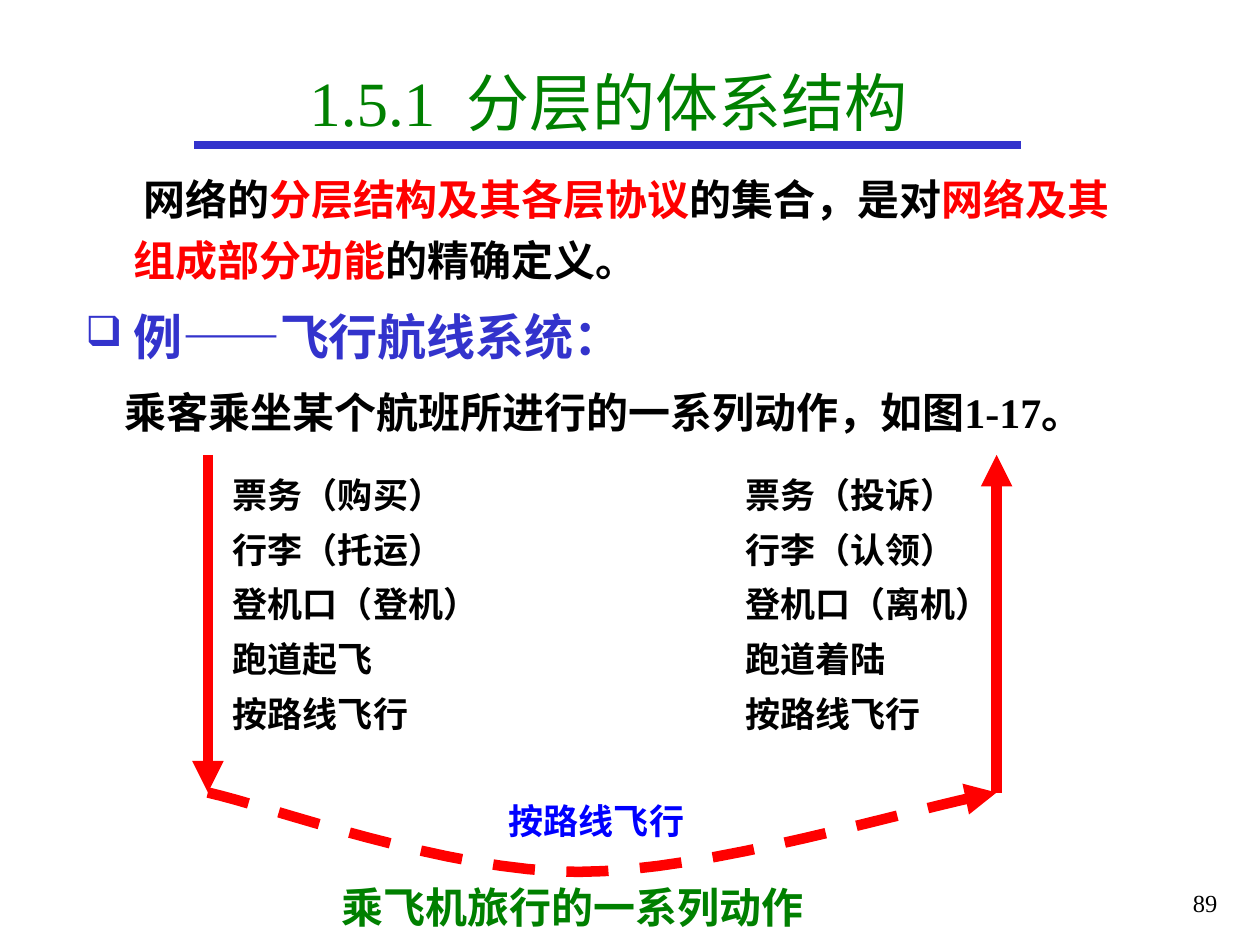
from pptx import Presentation, util as u
from pptx.dml.color import RGBColor
from pptx.enum import dml, shapes, text
from pptx.oxml.ns import qn
from lxml import etree

Inches, Pt = u.Inches, u.Pt
theme = {
    "black": "000000", "red": "FF0000", "green": "008000",
    "indigo": "3333CC", "blue": "0000FF",
    "latin": "Times New Roman", "asian": "Noto Sans CJK SC",
    "title": 36, "head": 28, "body": 24, "list": 20, "num": 14,
    "rule": 4.5, "arrow": 6,
}


def write(para, runs, size, bold=True, **form):
    """Fill a paragraph with (words, colour) runs and set its format."""
    for words, hue in runs:
        run = para.add_run()
        run.text = words
        for key, val in {"size": Pt(theme[size]), "bold": bold,
                         "name": theme["latin"]}.items():
            setattr(run.font, key, val)
        run.font.color.rgb = RGBColor.from_string(theme[hue])
        latin = run.font._element.find(qn("a:latin"))
        asian = etree.Element(qn("a:ea"), typeface=theme["asian"])
        latin.addnext(asian)
    for key, val in form.items():
        setattr(para, key, val)


def stroke(shape, hue, width, head=True, dash=None):
    """Style a line, with an arrowhead at its end if wanted."""
    shape.line.color.rgb = RGBColor.from_string(theme[hue])
    shape.line.width = Pt(theme[width])
    if dash:
        shape.line.dash_style = dash
    if head:
        line = shape.line._get_or_add_ln()
        etree.SubElement(line, qn("a:tailEnd"), type="triangle")
    props = shape._element.spPr
    if props.find(qn("a:effectLst")) is None:
        etree.SubElement(props, qn("a:effectLst"))


deck = Presentation()
deck.slide_width, deck.slide_height = Inches(10), Inches(7.5)
slide = deck.slides.add_slide(deck.slide_layouts[5])
parts = slide.shapes

# Title and the rule under it
title = parts.title
for key, val in {"left": 0.58, "top": 0.25, "width": 8.5, "height": 1.11}.items():
    setattr(title, key, Inches(val))
title.text_frame.vertical_anchor = text.MSO_ANCHOR.MIDDLE
write(title.text_frame.paragraphs[0], [("1.5.1  分层的体系结构", "green")],
      "title", bold=False, alignment=text.PP_ALIGN.CENTER)
rule = parts.add_connector(shapes.MSO_CONNECTOR.STRAIGHT,
                           Inches(1.54), Inches(1.15), Inches(8.1), Inches(1.15))
stroke(rule, "indigo", "rule", head=False)

# Body: margin, first-line indent, bullet, size, runs
body = [
    (0.38, 0.08, None, "body", [
        ("网络的", "black"), ("分层结构及其各层协议", "red"),
        ("的集合，是对", "black"), ("网络及其组成部分功能", "red"),
        ("的精确定义。", "black")]),
    (0.38, -0.38, "❑", "head", [("例——飞行航线系统：", "indigo")]),
    (0.31, 0, None, "body",
     [("乘客乘坐某个航班所进行的一系列动作，如图1-17。", "black")]),
]
frame = parts.add_textbox(Inches(0.58), Inches(1.25),
                          Inches(8.5), Inches(2.29)).text_frame
frame.word_wrap = True
for i, (left, first, mark, size, runs) in enumerate(body):
    para = frame.add_paragraph() if i else frame.paragraphs[0]
    props = para._p.get_or_add_pPr()
    props.set("marL", str(Inches(left)))
    props.set("indent", str(Inches(first)))
    if mark:
        tint = etree.SubElement(props, qn("a:buClr"))
        etree.SubElement(tint, qn("a:srgbClr"), val=theme["indigo"])
        etree.SubElement(props, qn("a:buSzPct"), val="85000")
        etree.SubElement(props, qn("a:buChar"), char=mark)
    write(para, runs, size, line_spacing=1.2, space_before=Pt(6 if i else 0))

# Departure and arrival steps, and the label of the flight
steps = [
    (1.75, 3.61, 2.57, 2.38, "black",
     ["票务（购买）", "行李（托运）", "登机口（登机）", "跑道起飞", "按路线飞行"]),
    (5.82, 3.61, 2.6, 2.38, "black",
     ["票务（投诉）", "行李（认领）", "登机口（离机）", "跑道着陆", "按路线飞行"]),
    (3.94, 6.2, 1.69, 0.5, "blue", ["按路线飞行"]),
]
for *place, hue, rows in steps:
    frame = parts.add_textbox(*map(Inches, place)).text_frame
    frame.word_wrap = True
    for i, row in enumerate(rows):
        para = frame.add_paragraph() if i else frame.paragraphs[0]
        write(para, [(row, hue)], "list", line_spacing=1.3)

# Arrows down and up
west, east, high, low = 1.65, 7.91, 3.61, 6.29
for x, start, end in [(west, high, low), (east, low, high)]:
    arrow = parts.add_connector(shapes.MSO_CONNECTOR.STRAIGHT, Inches(x),
                                Inches(start), Inches(x), Inches(end))
    stroke(arrow, "red", "arrow")

# Dashed flight path: points along two cubic curves
curves = [
    [(west, low), (2.14, 6.4), (3.55, 6.92), (4.59, 6.92)],
    [(4.59, 6.92), (5.63, 6.92), (7.22, 6.42), (east, low)],
]
count = 16
points = []
for curve in curves:
    for n in range(1, count + 1):
        t = n / count
        parts_of = [(1 - t) ** 3, 3 * t * (1 - t) ** 2, 3 * t * t * (1 - t), t ** 3]
        points.append(tuple(
            Inches(sum(w * p[axis] for w, p in zip(parts_of, curve)))
            for axis in (0, 1)))
build = parts.build_freeform(Inches(west), Inches(low))
build.add_line_segments(points, close=False)
flight = build.convert_to_shape()
flight.shadow.inherit = False
flight.fill.background()
stroke(flight, "red", "arrow", dash=dml.MSO_LINE.DASH)

# Caption and page number
notes = [
    (2.54, 6.98, 4.01, 0.44, "乘飞机旅行的一系列动作", "green", "body", True,
     text.PP_ALIGN.CENTER, text.MSO_ANCHOR.MIDDLE),
    (9.08, 7, 0.68, 0.5, "89", "black", "num", False,
     text.PP_ALIGN.RIGHT, text.MSO_ANCHOR.TOP),
]
for *place, words, hue, size, bold, align, anchor in notes:
    frame = parts.add_textbox(*map(Inches, place)).text_frame
    frame.word_wrap = True
    frame.vertical_anchor = anchor
    write(frame.paragraphs[0], [(words, hue)], size, bold, alignment=align)

deck.save("out.pptx")
